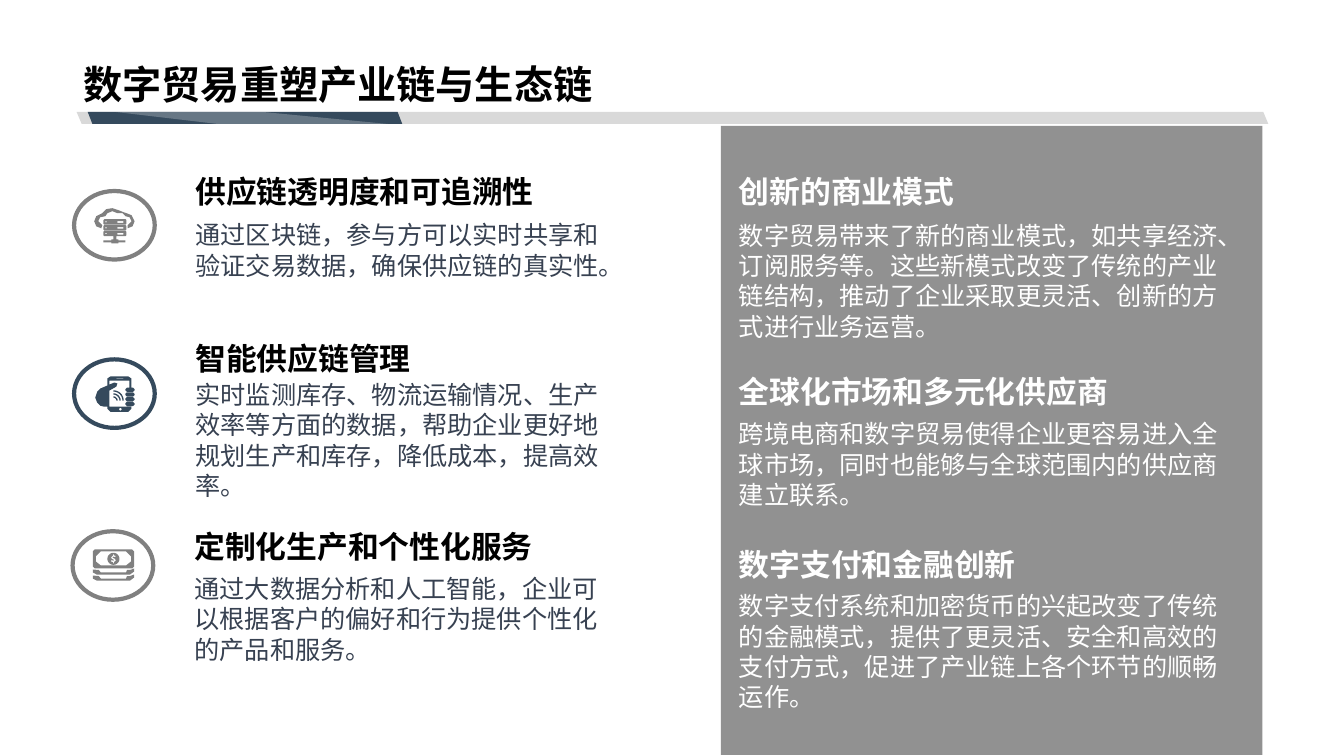
from dataclasses import dataclass
from math import cos, pi, sin

from lxml.etree import SubElement
from pptx import Presentation
from pptx.dml.color import RGBColor
from pptx.enum.shapes import MSO_SHAPE as Shape
from pptx.enum.text import MSO_ANCHOR as Anchor, MSO_AUTO_SIZE as AutoSize
from pptx.oxml.ns import qn
from pptx.util import Inches, Pt


@dataclass(frozen=True)
class Theme:
    black: str = "000000"
    white: str = "FFFFFF"
    grey: str = "808080"
    track: str = "D9D9D9"
    navy: str = "354A5D"
    slate: str = "374151"
    title_font: str = "Arial"
    text_font: str = "Roboto"
    title_size: int = 28
    heading_size: int = 22
    body_size: int = 18
    ring_width: int = 3


def grid(cells):
    """Length of a number of grid cells; columns and rows are 0.1 inch."""
    return Inches(cells / 10)


# Icon outlines: a tenth of a grid cell per unit; an inner outline cuts a hole.
def box(x, y, w, h):
    return [(x, y), (x + w, y), (x + w, y + h), (x, y + h)]


def rounded(x, y, w, h, c):
    """Box with corners cut by c."""
    return [(x + c, y), (x + w - c, y), (x + w, y + c), (x + w, y + h - c),
            (x + w - c, y + h), (x + c, y + h), (x, y + h - c), (x, y + c)]


def arc(cx, cy, r, start=0, end=360, steps=24):
    angles = [(start + (end - start) * i / steps) * pi / 180 for i in range(steps + 1)]
    return [(cx + r * cos(a), cy - r * sin(a)) for a in angles]


def wave(cx, cy, inner, outer):
    """Quarter band of a wireless signal."""
    return arc(cx, cy, outer, 0, 90) + arc(cx, cy, inner, 90, 0)


def cloud_server():
    cloud = [(7, 20), (2, 18), (0, 13), (2, 8), (8, 5), (12, 1), (18, 0), (24, 2),
             (29, 4), (32, 5), (37, 7), (40, 13), (38, 18), (33, 20), (33, 17),
             (37, 13), (35, 9), (31, 8), (28, 5), (23, 5), (18, 3), (13, 5),
             (11, 8), (6, 9), (4, 13), (8, 17)]
    stand = [(19, 28), (22, 28), (22, 31), (24, 31), (24, 32), (31, 32), (31, 34),
             (24, 34), (24, 35), (17, 35), (17, 34), (9, 34), (9, 32), (17, 32),
             (17, 31), (19, 31)]
    outlines = [cloud, stand]
    for y in (11, 16.8, 22.6):
        outlines += [rounded(9, y, 23, 5.3, 1), box(23, y + 2, 6, 1.6),
                     box(11, y + 2, 1.2, 1.2)]
    return outlines


def hand_phone():
    hand = [(12, 30), (9, 30), (5, 29), (2, 26), (0, 21), (2, 15), (5, 12), (12, 9),
            (12, 2), (15, 0), (33, 0), (36, 2), (36, 11), (34, 11), (34, 4), (14, 4),
            (14, 8), (19, 6), (22, 7), (21, 10), (14, 14), (14, 30), (34, 30),
            (36, 30), (36, 32), (33, 35), (15, 35), (12, 32)]
    waves = [wave(18, 24, r, r + 1.3) for r in (3, 6, 9)]
    fingers = [rounded(30, 11 + 4.7 * i, 9, 4.2, 1.5) for i in range(4)]
    return [hand, box(21, 1.8, 7, 0.6), arc(25, 32.5, 1.3), *waves, *fingers]


def banknotes():
    window = [(8, 2), (33, 2), (38, 7), (38, 12), (33, 16), (8, 16), (3, 12), (3, 7)]
    dollar = [(20, 5), (20, 6), (18, 8), (19, 9.5), (21, 10.5), (20.5, 11.2),
              (18.5, 10.6), (18, 12), (20, 12.8), (20, 14), (21, 14), (21, 12.8),
              (23, 11), (22, 9.3), (19.8, 8.2), (20.2, 7.2), (22.2, 7.7), (23, 6.5),
              (21, 6), (21, 5)]
    bundles = [[(0, y), (6, y + 0.5), (8, y + 3), (33, y + 3), (34, y + 0.5),
                (37, y + 0.5), (41, y - 1), (41, y + 2), (37, y + 5), (4, y + 5),
                (0, y + 3)] for y in (20, 26)]
    return [rounded(0, 0, 41, 19, 2), window, arc(20.5, 9.4, 6), dollar, *bundles]


class SlideBuilder:
    def __init__(self, slide, theme):
        self.s = slide
        self.theme = theme

    def paint(self, sp, fill=None, alpha=None, line=None):
        sp.shadow.inherit = False
        if fill:
            sp.fill.solid()
            sp.fill.fore_color.rgb = RGBColor.from_string(fill)
        else:
            sp.fill.background()
        if alpha:
            color = sp.element.spPr.find(qn("a:solidFill")).find(qn("a:srgbClr"))
            SubElement(color, qn("a:alpha")).set("val", str(alpha * 1000))
        if line:
            sp.line.color.rgb = RGBColor.from_string(line)
            sp.line.width = Pt(self.theme.ring_width)
        else:
            sp.line.fill.background()

    def shape(self, kind, x, y, w, h, **style):
        sp = self.s.shapes.add_shape(kind, *map(grid, (x, y, w, h)))
        self.paint(sp, **style)
        return sp

    def band(self, x, y, w, h, slant, fill):
        """Parallelogram leaning to the left."""
        sp = self.shape(Shape.PARALLELOGRAM, x, y, w, h, fill=fill)
        sp.adjustments[0] = slant
        sp.element.spPr.find(qn("a:xfrm")).set("flipH", "1")

    def outline(self, x, y, outlines, **style):
        first, *rest = [[(round(px * 10), round(py * 10)) for px, py in points]
                        for points in outlines]
        fb = self.s.shapes.build_freeform(*first[0], scale=grid(0.01))
        fb.add_line_segments(first[1:])
        for points in rest:
            fb.move_to(*points[0])
            fb.add_line_segments(points[1:])
        self.paint(fb.convert_to_shape(grid(x), grid(y)), **style)

    def text(self, text, x, y, w, h, size, color, bold=False, font=None, wrap=True):
        tf = self.s.shapes.add_textbox(*map(grid, (x, y, w, h))).text_frame
        tf.text = text
        tf.word_wrap = wrap
        r = tf.paragraphs[0].runs[0]
        r.font.name = font or self.theme.text_font
        r.font.size = Pt(size)
        r.font.bold = bold
        r.font.color.rgb = RGBColor.from_string(color)
        return tf

    def title(self, text):
        t = self.theme
        tf = self.text(text, 7.3, 0, 118.7, 11.2, t.title_size, t.black, True, t.title_font)
        tf.vertical_anchor = Anchor.BOTTOM
        tf.paragraphs[0].line_spacing = 0.9

    def topic(self, x, heading_y, body_y, w, lines, heading, body, colors):
        t = self.theme
        self.text(heading, x, heading_y, 40, 3.7, t.heading_size, colors[0], True, wrap=False)
        tf = self.text(body, x, body_y, w, 3 * lines + 1.1, t.body_size, colors[1])
        tf.auto_size = AutoSize.SHAPE_TO_FIT_TEXT

    def icon(self, x, y, dx, dy, outlines, color):
        """Ring with a drawing placed dx, dy inside it."""
        self.shape(Shape.OVAL, x, y, 8, 6.8, line=color)
        self.outline(x + dx, y + dy, outlines, fill=color)


LEFT_TOPICS = [
    (18.4, 16.6, 21.3, 43.5, 2, "供应链透明度和可追溯性",
     "通过区块链，参与方可以实时共享和验证交易数据，确保供应链的真实性。"),
    (18.4, 33.2, 37.15, 43.5, 4, "智能供应链管理",
     "实时监测库存、物流运输情况、生产效率等方面的数据，帮助企业更好地规划生产和库存，降低成本，提高效率。"),
    (18.3, 51.85, 56.4, 43.5, 3, "定制化生产和个性化服务",
     "通过大数据分析和人工智能，企业可以根据客户的偏好和行为提供个性化的产品和服务。"),
]
RIGHT_TOPICS = [
    (72.3, 16.6, 21.35, 51.7, 4, "创新的商业模式",
     "数字贸易带来了新的商业模式，如共享经济、订阅服务等。这些新模式改变了传统的产业链结构，推动了企业采取更灵活、创新的方式进行业务运营。"),
    (72.3, 36.5, 41.05, 51.7, 3, "全球化市场和多元化供应商",
     "跨境电商和数字贸易使得企业更容易进入全球市场，同时也能够与全球范围内的供应商建立联系。"),
    (72.3, 53.65, 58.1, 51.7, 4, "数字支付和金融创新",
     "数字支付系统和加密货币的兴起改变了传统的金融模式，提供了更灵活、安全和高效的支付方式，促进了产业链上各个环节的顺畅运作。"),
]


def main():
    prs = Presentation()
    prs.slide_width, prs.slide_height = Inches(13.33), Inches(7.5)
    t = Theme()
    sb = SlideBuilder(prs.slides.add_slide(prs.slide_layouts[6]), t)

    sb.band(7.6, 11.1, 118.2, 1.2, 0.42, t.track)
    sb.band(8.7, 11.1, 31.2, 1.2, 0.39, t.navy)
    sb.outline(11.4, 11.1, [[(0, 0), (146, 0), (271, 12), (102, 12)]], fill=t.white, alpha=25)
    sb.title("数字贸易重塑产业链与生态链")

    sb.shape(Shape.RECTANGLE, 71.5, 12.5, 53.7, 62.4, fill=t.grey, alpha=86)
    sb.icon(7.35, 18.95, 2, 1.7, cloud_server(), t.grey)
    sb.icon(7.35, 35.65, 2.1, 1.7, hand_phone(), t.navy)
    sb.icon(7.2, 52.7, 2, 1.8, banknotes(), t.grey)
    for topic in LEFT_TOPICS:
        sb.topic(*topic, colors=(t.black, t.slate))
    for topic in RIGHT_TOPICS:
        sb.topic(*topic, colors=(t.white, t.white))
    prs.save("out.pptx")


if __name__ == "__main__":
    main()
